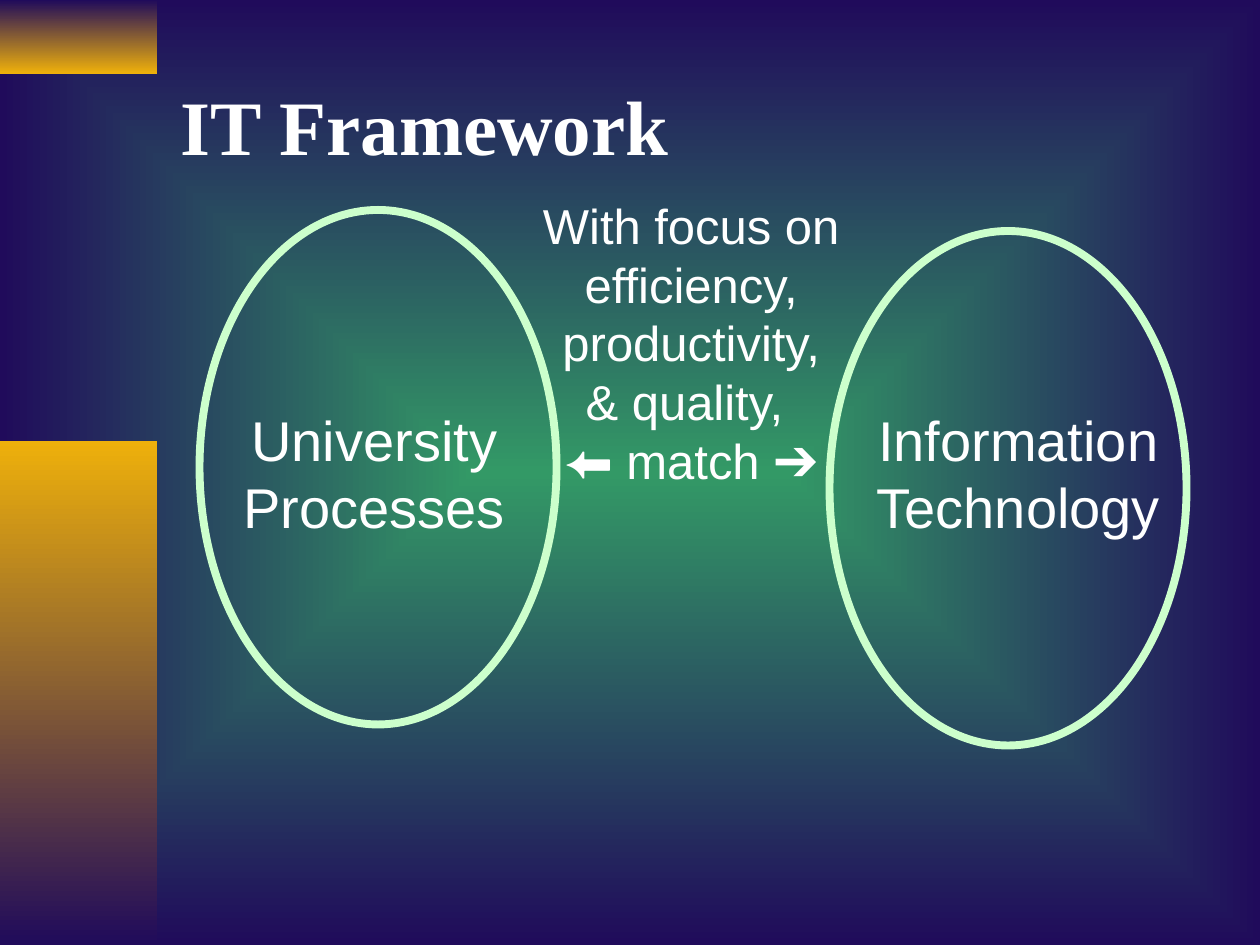
import pptx
import pptx.util
import pptx.dml.color
import pptx.enum.shapes
import pptx.enum.text
import pptx.oxml
import pptx.oxml.ns

Pt = pptx.util.Pt
NAVY, GOLD, GREEN, MINT, WHITE = "200B5B", "EEB00B", "339966", "CCFFCC", "FFFFFF"


def set_gradient(fill, start, end):
    fill.gradient()
    for stop, color in zip(fill.gradient_stops, (start, end)):
        stop.color.rgb = pptx.dml.color.RGBColor.from_string(color)


def add_text(box, lines, size, font, bold=False, align=None):
    s = slide.shapes.add_textbox(*[Pt(v) for v in box])
    tf = s.text_frame
    tf.text = "\n".join(lines)
    for p in tf.paragraphs:
        p.alignment = align
        for r in p.runs:
            r.font.size = Pt(size)
            r.font.name = font
            r.font.bold = bold
            r.font.color.rgb = pptx.dml.color.RGBColor.from_string(WHITE)
    return tf


prs = pptx.Presentation()
prs.slide_width, prs.slide_height = Pt(720), Pt(540)
slide = prs.slides.add_slide(prs.slide_layouts[6])

# Background: rectangular gradient from the centre outwards
set_gradient(slide.background.fill, GREEN, NAVY)
lin = next(slide.background._cSld.iter(pptx.oxml.ns.qn("a:lin")))
lin.getparent().replace(lin, pptx.oxml.parse_xml(
    f'<a:path {pptx.oxml.ns.nsdecls("a")} path="rect">'
    '<a:fillToRect l="50000" t="50000" r="50000" b="50000"/></a:path>'))

# Gold bars on the left edge
for top, height, start, end in ((0, 42, NAVY, GOLD), (252, 288, GOLD, NAVY)):
    sp = slide.shapes.add_shape(pptx.enum.shapes.MSO_SHAPE.RECTANGLE,
                                Pt(0), Pt(top), Pt(90), Pt(height))
    sp.shadow.inherit = False
    set_gradient(sp.fill, start, end)
    sp.fill.gradient_angle = 270
    sp.line.fill.background()

# Title
tf = add_text((96, 24, 612, 95), ["IT Framework"], 44, "Times New Roman", bold=True)
tf.word_wrap = True
tf.vertical_anchor = pptx.enum.text.MSO_ANCHOR.MIDDLE

# Ellipses
for left, top in ((114, 120), (474, 132)):
    sp = slide.shapes.add_shape(pptx.enum.shapes.MSO_SHAPE.OVAL,
                                Pt(left), Pt(top), Pt(204), Pt(294))
    sp.shadow.inherit = False
    sp.fill.background()
    sp.line.color.rgb = pptx.dml.color.RGBColor.from_string(MINT)
    sp.line.width = Pt(4.5)

# Ellipse labels and the text between them
labels = (
    ((492, 228, 180, 84), ["Information", "Technology"], 32),
    ((132, 228, 164, 84), ["University", "Processes"], 32),
    ((302, 108, 186, 175.5),
     ["With focus on", "efficiency,", "productivity,", "& quality, ", "⬅ match ➔"], 28),
)
for box, lines, size in labels:
    tf = add_text(box, lines, size, "Arial", align=pptx.enum.text.PP_ALIGN.CENTER)
    tf.word_wrap = False
    tf.auto_size = pptx.enum.text.MSO_AUTO_SIZE.SHAPE_TO_FIT_TEXT

prs.save("out.pptx")
